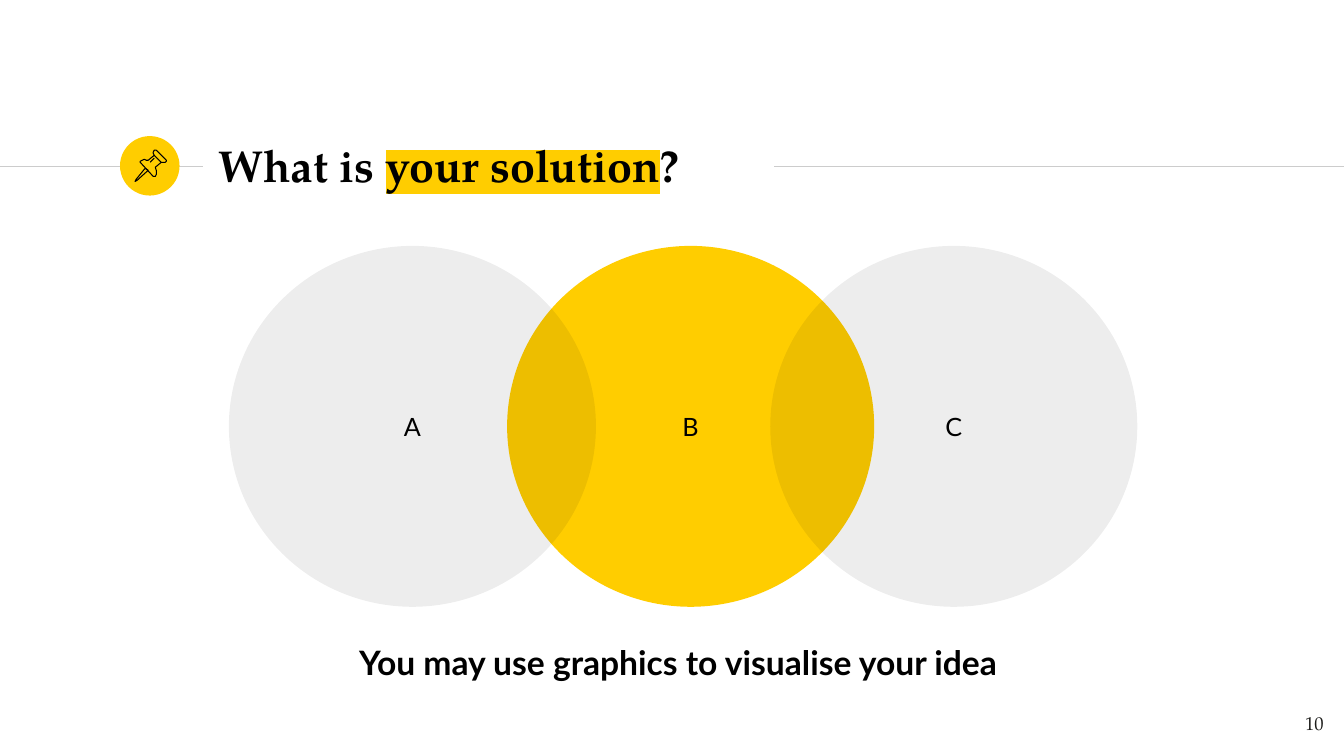
from lxml import etree
from pptx import Presentation
from pptx import util as u
from pptx.dml.color import RGBColor
from pptx.enum import shapes, text
from pptx.oxml import ns

HUES = {"gold": "FFCD00", "rule": "CCCCCC", "ink": "000000", "page": "1D1D1B"}
SANS, SERIF = "Lato", "TeX Gyre Pagella"
WIDE, HIGH = u.Inches(13.33), u.Inches(7.5)
MID = text.MSO_ANCHOR.MIDDLE
LEFT, MIDST, RIGHT = text.PP_ALIGN.LEFT, text.PP_ALIGN.CENTER, text.PP_ALIGN.RIGHT

PIN = [
    ([(144, 167), (135, 178), (134, 180), (136, 179), (147, 169)], True),
    ([(153, 154), (160, 161), (162, 161), (164, 161), (165, 160), (165, 159),
      (155, 149), (154, 149), (153, 149), (152, 151), (152, 152)], True),
    ([(153, 154), (147, 159), (145, 159), (143, 158), (141, 159), (139, 160),
      (139, 161), (152, 175), (153, 175), (154, 175), (155, 173), (155, 169),
      (154, 166), (160, 161)], False),
    ([(149, 161), (153, 157)], False),
]


def col(n):
    return round(WIDE * n / 100)


def row(n):
    return round(HIGH * n / 100)


def area(x, y, w, h):
    return col(x), row(y), col(w), row(h)


def hue(name):
    return RGBColor.from_string(HUES[name])


def sub(node, tag, **attrs):
    return etree.SubElement(node, ns.qn(tag), attrs)


def add_run(par, words, font, size, ink="ink", bold=False, mark=None):
    run = par.add_run()
    run.text = words
    run.font.name, run.font.size, run.font.bold = font, u.Pt(size), bold
    run.font.color.rgb = hue(ink)
    if mark:
        glow = etree.Element(ns.qn("a:highlight"))
        sub(glow, "a:srgbClr", val=HUES[mark])
        run.font._element.find(ns.qn("a:solidFill")).addnext(glow)


def set_frame(shape, align, inset, anchor=text.MSO_ANCHOR.TOP):
    frame = shape.text_frame
    frame.word_wrap = True
    frame.auto_size = text.MSO_AUTO_SIZE.NONE
    frame.vertical_anchor = anchor
    frame.margin_left = frame.margin_right = u.Inches(inset)
    frame.margin_top = frame.margin_bottom = u.Inches(inset)
    par = frame.paragraphs[0]
    par.alignment = align
    return par


def add_rule(slide, start, end, y):
    rule = slide.shapes.add_connector(
        shapes.MSO_CONNECTOR.STRAIGHT, col(start), row(y), col(end), row(y))
    rule.line.color.rgb = hue("rule")
    rule.line.width = u.Pt(0.75)
    sub(rule._element.spPr, "a:effectLst")


def add_disc(slide, place, fill, alpha=None):
    disc = slide.shapes.add_shape(shapes.MSO_SHAPE.OVAL, *place)
    disc.shadow.inherit = False
    disc.fill.solid()
    disc.fill.fore_color.rgb = hue(fill)
    disc.line.fill.background()
    if alpha:
        tint = disc._element.spPr.find(ns.qn("a:solidFill"))[0]
        sub(tint, "a:alpha", val=str(alpha * 1000))
    return disc


def add_set(slide, label, left, fill, alpha=None):
    disc = add_disc(slide, area(left, 32.53, 27.31, 47.73), fill, alpha)
    add_run(set_frame(disc, MIDST, 0.1, MID), label, SANS, 18)


def add_pin(slide):
    pin = slide.shapes.add_group_shape()
    for dots, closed in PIN:
        pen = pin.shapes.build_freeform(*dots[0], scale=WIDE / 1333)
        pen.add_line_segments(dots[1:], close=closed)
        part = pen.convert_to_shape()
        part.shadow.inherit = False
        part.fill.background()
        part.line.color.rgb = hue("ink")
        part.line.width = u.Pt(0.75)


def add_title(slide):
    title = slide.shapes.title
    title.left, title.top, title.width, title.height = area(15.3, 17.47, 62.87, 8.53)
    par = set_frame(title, LEFT, 0.13, MID)
    for words, mark in (("What is ", None), ("your solution", "gold"), ("?", None)):
        add_run(par, words, SERIF, 32, bold=True, mark=mark)


def add_note(slide, place, words, align, inset, font, size, ink="ink", bold=False):
    par = set_frame(slide.shapes.add_textbox(*place), align, inset)
    add_run(par, words, font, size, ink, bold)
    return par


def main():
    deck = Presentation()
    deck.slide_width, deck.slide_height = WIDE, HIGH
    slide = deck.slides.add_slide(deck.slide_layouts.get_by_name("Title Only"))

    add_rule(slide, 0, 15.08, 22)
    add_rule(slide, 57.62, 100, 22)
    add_disc(slide, area(8.93, 18, 4.43, 7.87), "gold")
    add_pin(slide)
    add_title(slide)

    add_set(slide, "B", 37.73, "gold")
    add_set(slide, "A", 17.03, "ink", 7)
    add_set(slide, "C", 57.31, "ink", 7)

    par = add_note(slide, area(15.08, 83.6, 70.74, 8),
                   "You may use graphics to visualise your idea",
                   MIDST, 0.1, SANS, 24, bold=True)
    par.space_before = u.Pt(3.6)
    add_note(slide, area(93.47, 92.4, 6, 7.6), "10", RIGHT, 0.13, SERIF, 13.3, "page")
    deck.save("out.pptx")


if __name__ == "__main__":
    main()
